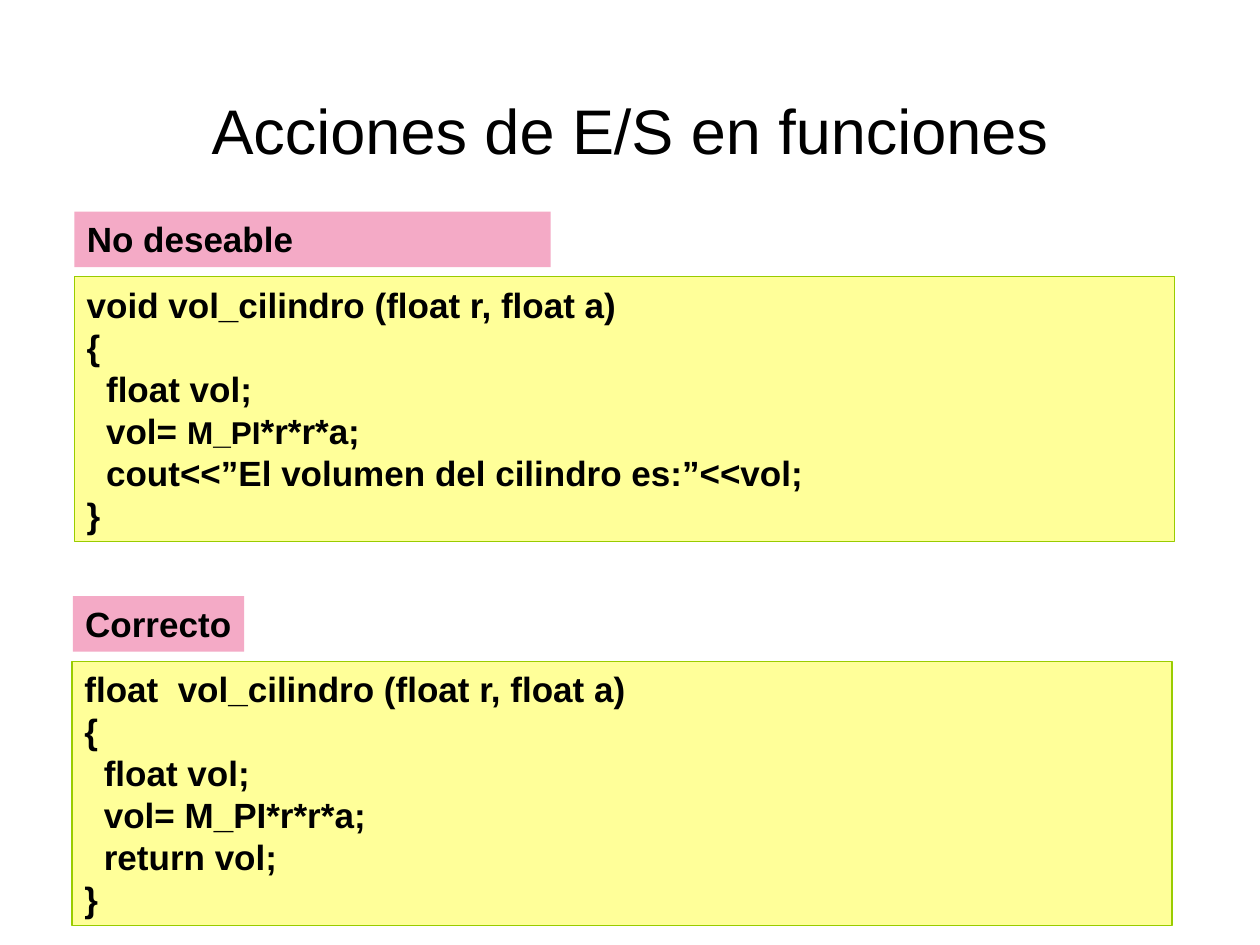
from dataclasses import dataclass

import pptx
import pptx.dml.color
import pptx.enum.shapes
import pptx.enum.text
import pptx.util

Pt = pptx.util.Pt
Anchor = pptx.enum.text.MSO_ANCHOR
Align = pptx.enum.text.PP_ALIGN

FONT = "Arial"
BLACK = "000000"
PINK = "F4AAC6"
YELLOW = "FFFF99"
GREEN = "99CC00"
CODE_WIDTH = 628.6
CODE_HEIGHT = 151.2
LABEL_HEIGHT = 31.7
CODE_OFFSET = 37.2


@dataclass(frozen=True)
class Example:
    label: str
    label_left: float
    label_width: float
    label_wraps: bool
    code_left: float
    top: float
    code: str
    small_token: str = ""


EXAMPLES = [
    Example(
        "No deseable", 42.5, 272.2, True, 42.5, 121,
        "void vol_cilindro (float r, float a)\n"
        "{\n"
        "  float vol;\n"
        "  vol= M_PI*r*r*a;\n"
        "  cout<<”El volumen del cilindro es:”<<vol;\n"
        "}",
        small_token="M_PI",
    ),
    Example(
        "Correcto", 41.6, 97.9, False, 41.2, 340.7,
        "float  vol_cilindro (float r, float a)\n"
        "{\n"
        "  float vol;\n"
        "  vol= M_PI*r*r*a;\n"
        "  return vol;\n"
        "}",
    ),
]


def rgb(color: str) -> pptx.dml.color.RGBColor:
    return pptx.dml.color.RGBColor.from_string(color)


def format_paragraph(paragraph, size: float, bold: bool, align) -> None:
    paragraph.alignment = align
    font = paragraph.font
    font.name = FONT
    font.size = Pt(size)
    font.bold = bold
    font.color.rgb = rgb(BLACK)


def write_line(paragraph, line: str, small_token: str) -> None:
    format_paragraph(paragraph, 20, True, Align.LEFT)
    if small_token and small_token in line:
        for part in line.partition(small_token):
            run = paragraph.add_run()
            run.text = part
            if part == small_token:
                run.font.size = Pt(18)
    else:
        paragraph.add_run().text = line


def add_panel(slide, left: float, top: float, width: float, height: float,
              fill: str, text: str, anchor, line_color: str = "",
              wraps: bool = True, small_token: str = "") -> None:
    panel = slide.shapes.add_shape(
        pptx.enum.shapes.MSO_SHAPE.RECTANGLE,
        Pt(left), Pt(top), Pt(width), Pt(height))
    panel.shadow.inherit = False
    panel.fill.solid()
    panel.fill.fore_color.rgb = rgb(fill)
    if line_color:
        panel.line.color.rgb = rgb(line_color)
        panel.line.width = Pt(0.75)
    else:
        panel.line.fill.background()
    frame = panel.text_frame
    frame.word_wrap = wraps
    frame.auto_size = pptx.enum.text.MSO_AUTO_SIZE.SHAPE_TO_FIT_TEXT
    frame.vertical_anchor = anchor
    for index, line in enumerate(text.split("\n")):
        paragraph = frame.add_paragraph() if index else frame.paragraphs[0]
        write_line(paragraph, line, small_token)


def add_example(slide, example: Example) -> None:
    add_panel(slide, example.code_left, example.top + CODE_OFFSET,
              CODE_WIDTH, CODE_HEIGHT, YELLOW, example.code, Anchor.MIDDLE,
              line_color=GREEN, small_token=example.small_token)
    add_panel(slide, example.label_left, example.top, example.label_width,
              LABEL_HEIGHT, PINK, example.label, Anchor.TOP,
              wraps=example.label_wraps)


def add_title(slide, text: str) -> None:
    title = slide.shapes.title
    title.left, title.top = Pt(36.7), Pt(37.4)
    title.width, title.height = Pt(646.6), Pt(73.4)
    title.text_frame.text = text
    title.text_frame.vertical_anchor = Anchor.MIDDLE
    format_paragraph(title.text_frame.paragraphs[0], 36, False, Align.CENTER)


def main() -> None:
    presentation = pptx.Presentation()
    presentation.slide_width = Pt(720)
    presentation.slide_height = Pt(540)
    slide = presentation.slides.add_slide(presentation.slide_layouts[5])
    add_title(slide, "Acciones de E/S en funciones")
    for example in EXAMPLES:
        add_example(slide, example)
    presentation.save("out.pptx")


if __name__ == "__main__":
    main()
